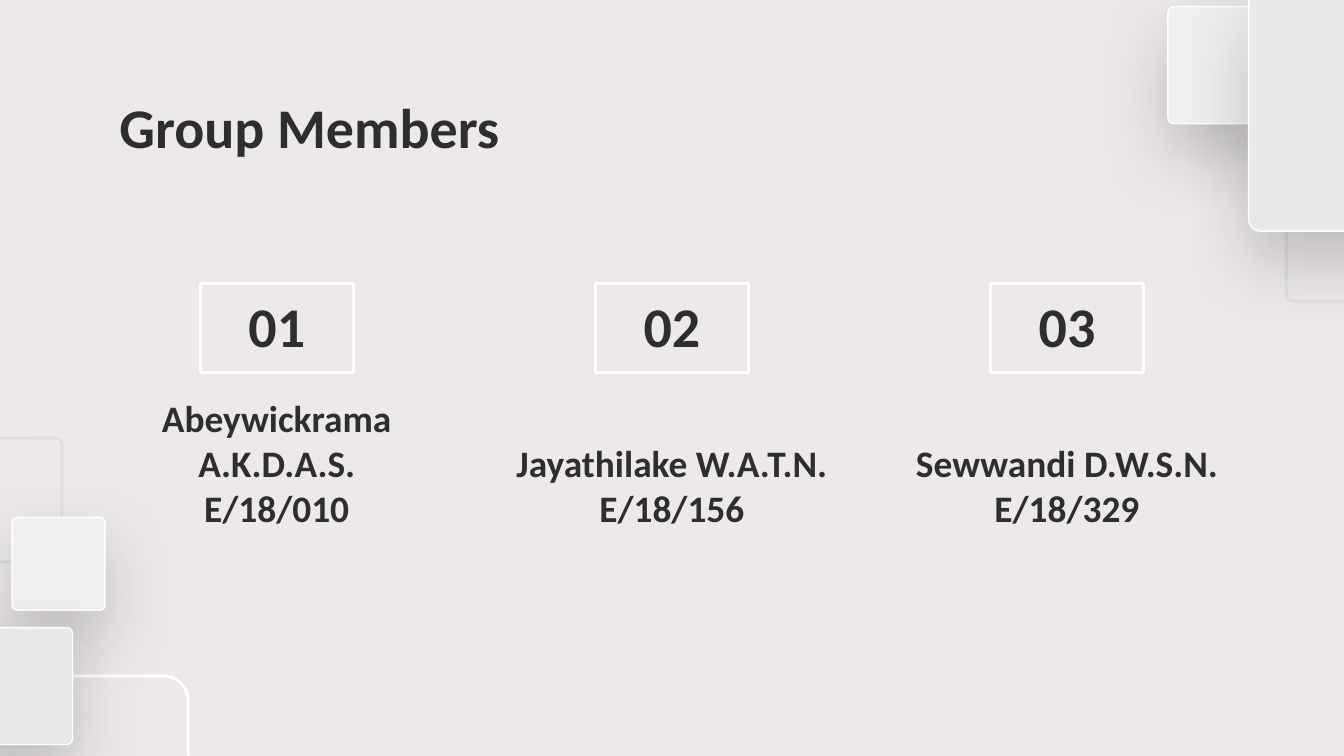
import pptx
import pptx.dml.color
import pptx.enum.shapes
import pptx.enum.text
import pptx.oxml
import pptx.oxml.ns
import pptx.util

Inches, Pt = pptx.util.Inches, pptx.util.Pt
Shapes = pptx.enum.shapes.MSO_SHAPE
Align = pptx.enum.text.PP_ALIGN
Anchor = pptx.enum.text.MSO_ANCHOR

HEADING = "Group Members"
MEMBERS = [
    ("Abeywickrama A.K.D.A.S.", "E/18/010"),
    ("Jayathilake W.A.T.N.", "E/18/156"),
    ("Sewwandi D.W.S.N.", "E/18/329"),
]

THEME = {
    "font": "Calibri",
    "background": "EDE9E9",
    "ink": "2E2E2E",
    "white": "FFFFFF",
    "outline": "DFDFDF",
    "light tile": "EFEFEF",
    "dark tile": "E8E8E8",
    "heading size": 30,
    "name size": 20,
    "frame line": 1.5,
    "tile line": 0.75,
}

# left, top, width, height, corner ratio, fill, line; from back to front
TILES = [
    (-0.46, 3.26, 0.92, 0.92, 0.05, None, "outline"),
    (0.09, 3.85, 0.69, 0.69, 0.05, "light tile", "white"),
    (-0.38, 5.03, 1.78, 0.84, 0.22, None, "white"),
    (-0.33, 4.67, 0.87, 0.87, 0.05, "dark tile", "white"),
    (9.57, 1.32, 0.92, 0.92, 0.05, None, "outline"),
    (8.69, 0.05, 0.87, 0.87, 0.05, "light tile", "white"),
    (9.29, -0.06, 1.78, 1.78, 0.05, "dark tile", "white"),
]

SLIDE_W = 10
SLIDE_H = SLIDE_W * 9 / 16
MARGIN = 0.79
HEADING_TOP, HEADING_H = 0.59, 0.69
NAME_W, NAME_H, NAME_TOP = 2.56, 0.49, 3.55
NUMBER_W, NUMBER_H, NUMBER_TOP = 1.14, 0.66, 2.11
COLUMN_PITCH = 2.94


def color(key):
    return pptx.dml.color.RGBColor.from_string(THEME[key])


def add_soft_shadow(shape):
    """Cast a wide shadow straight down, at 20 % black."""
    effects = shape._element.spPr.find(pptx.oxml.ns.qn("a:effectLst"))
    effects.append(pptx.oxml.parse_xml(
        f'<a:outerShdw {pptx.oxml.ns.nsdecls("a")} blurRad="{Pt(38.2)}" '
        f'dist="{Pt(15.8)}" dir="5400000" algn="t" rotWithShape="0">'
        '<a:srgbClr val="000000"><a:alpha val="20000"/></a:srgbClr>'
        '</a:outerShdw>'))


def add_panel(slide, kind, box, fill=None, line="white", weight="frame line"):
    panel = slide.shapes.add_shape(kind, *map(Inches, box))
    panel.shadow.inherit = False
    if fill:
        panel.fill.solid()
        panel.fill.fore_color.rgb = color(fill)
    else:
        panel.fill.background()
    panel.line.color.rgb = color(line)
    panel.line.width = Pt(THEME[weight])
    return panel


def write(shape, *lines, size="heading size", align=Align.CENTER, anchor=Anchor.BOTTOM):
    frame = shape.text_frame
    frame.word_wrap = True
    frame.vertical_anchor = anchor
    frame.margin_left = frame.margin_right = Inches(0.1)
    frame.margin_top = frame.margin_bottom = Inches(0.1)
    frame.text = "\n".join(lines)
    for paragraph in frame.paragraphs:
        paragraph.alignment = align
        font = paragraph.runs[0].font
        font.name = THEME["font"]
        font.size = Pt(THEME[size])
        font.bold = True
        font.color.rgb = color("ink")


def add_text(slide, box, *lines, **style):
    write(slide.shapes.add_textbox(*map(Inches, box)), *lines, **style)


def main():
    deck = pptx.Presentation()
    deck.slide_width, deck.slide_height = Inches(SLIDE_W), Inches(SLIDE_H)
    slide = deck.slides.add_slide(deck.slide_layouts[6])
    slide.background.fill.solid()
    slide.background.fill.fore_color.rgb = color("background")

    for *box, corner, fill, line in TILES:
        tile = add_panel(slide, Shapes.ROUNDED_RECTANGLE, box, fill, line,
                         "tile line" if fill else "frame line")
        tile.adjustments[0] = corner
        if fill:
            add_soft_shadow(tile)

    add_text(slide, (MARGIN, HEADING_TOP, SLIDE_W - 2 * MARGIN, HEADING_H), HEADING,
             align=Align.LEFT, anchor=Anchor.TOP)

    for column, member in enumerate(MEMBERS):
        center = SLIDE_W / 2 + (column - (len(MEMBERS) - 1) / 2) * COLUMN_PITCH
        number = add_panel(slide, Shapes.RECTANGLE,
                           (center - NUMBER_W / 2, NUMBER_TOP, NUMBER_W, NUMBER_H))
        write(number, f"{column + 1:02}")
        add_text(slide, (center - NAME_W / 2, NAME_TOP, NAME_W, NAME_H), *member,
                 size="name size")

    deck.save("out.pptx")


if __name__ == "__main__":
    main()
